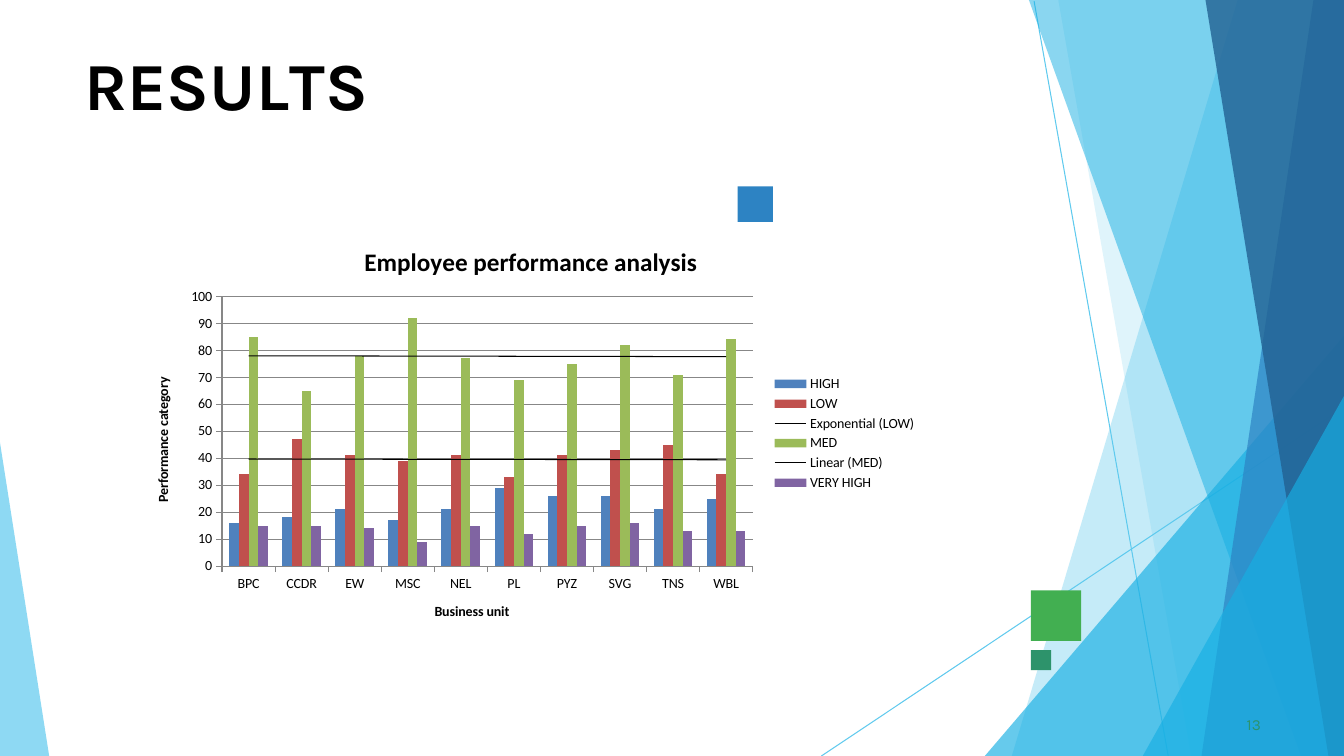
from lxml import etree
from pptx import Presentation
from pptx.chart.data import CategoryChartData
from pptx.dml.color import RGBColor
from pptx.enum.chart import XL_CHART_TYPE, XL_LEGEND_POSITION, XL_TICK_MARK
from pptx.enum.shapes import MSO_CONNECTOR, MSO_SHAPE
from pptx.enum.text import MSO_ANCHOR, PP_ALIGN
from pptx.oxml import parse_xml
from pptx.oxml.ns import nsdecls, qn
from pptx.util import Cm, Pt

COLUMNS = XL_CHART_TYPE.COLUMN_CLUSTERED
LEGEND_RIGHT = XL_LEGEND_POSITION.RIGHT
TICK_OUTSIDE = XL_TICK_MARK.OUTSIDE
STRAIGHT = MSO_CONNECTOR.STRAIGHT
RECTANGLE = MSO_SHAPE.RECTANGLE
TOP = MSO_ANCHOR.TOP
LEFT = PP_ALIGN.LEFT

# Content
COLORS = {
    "black": "000000", "grid": "878787", "sky": "5FCAEE", "cyan": "17AFE3",
    "blue": "2D83C3", "navy": "226192", "green": "42AF51", "teal": "2D936B",
    "high": "4F81BD", "low": "C0504D", "med": "9BBB59", "very high": "8064A2",
}
WIDTH, HEIGHT = 33.87, 19.05

# Title runs: text, letter spacing in points
TITLE_RUNS = [("R", 0), ("E", -0.4), ("S", 0.1), ("U", -0.3), ("L", -4), ("TS", 0)]
PAGE_NUMBER = "13"

CHART_TITLE = "Employee performance analysis"
CATEGORY_TITLE, VALUE_TITLE = "Business unit", "Performance category"
UNITS = ["BPC", "CCDR", "EW", "MSC", "NEL", "PL", "PYZ", "SVG", "TNS", "WBL"]
SERIES = {
    "HIGH": (16, 18, 21, 17, 21, 29, 26, 26, 21, 25),
    "LOW": (34, 47, 41, 39, 41, 33, 41, 43, 45, 34),
    "MED": (85, 65, 78, 92, 77, 69, 75, 82, 71, 84),
    "VERY HIGH": (15, 15, 14, 9, 15, 12, 15, 16, 13, 13),
}
TREND_TYPES = {"LOW": "exp", "MED": "linear"}
PLOT_AREA = {"x": 0.11, "y": 0.17, "w": 0.67, "h": 0.65}

# Decoration, in centimetres
THIN_LINES = [(26.06, 0.03, 29.44, HEIGHT), (WIDTH, 10.26, 20.7, HEIGHT)]
# Bands against the right edge: top left x, top y, bottom left x, color, opacity
RIGHT_BANDS = [
    (31.19, 0, 25.5, "sky", 36),
    (26.67, 0, 30.02, "sky", 20),
    (WIDTH, 8.46, 24.82, "cyan", 66),
    (25.93, 0, 32.79, "cyan", 50),
    (33.1, 0, 30.28, "blue", 70),
    (30.38, 0, 33.48, "navy", 80),
    (WIDTH, 9.98, 28.8, "cyan", 66),
]
LEFT_WEDGE = [(0, 11.15), (0, HEIGHT), (1.24, HEIGHT)]
SQUARES = [(25.98, 14.88, 1.27, "green"), (18.59, 4.7, 0.89, "blue"),
           (25.98, 16.38, 0.51, "teal")]


def rgb(name):
    return RGBColor.from_string(COLORS[name])


def paint(shape, color, opacity=100):
    shape.shadow.inherit = False
    shape.fill.solid()
    shape.fill.fore_color.rgb = rgb(color)
    shape.line.fill.background()
    if opacity < 100:
        color_element = shape._element.spPr.find(qn("a:solidFill"))[0]
        etree.SubElement(color_element, qn("a:alpha")).set("val", str(opacity * 1000))


def add_polygon(slide, points, color, opacity):
    corners = [(Cm(x), Cm(y)) for x, y in points]
    builder = slide.shapes.build_freeform(*corners[0])
    builder.add_line_segments(corners[1:], close=True)
    paint(builder.convert_to_shape(), color, opacity)


def set_font(font, name, size, color, bold=False):
    font.name, font.size, font.bold = name, Pt(size), bold
    font.color.rgb = rgb(color)


def add_run(paragraph, text, size, color, bold=False, spacing=0):
    run = paragraph.add_run()
    run.text = text
    set_font(run.font, "Karla", size, color, bold)
    run._r.get_or_add_rPr().set("spc", str(round(spacing * 100)))


def prepare_frame(shape):
    frame = shape.text_frame
    frame.word_wrap = True
    frame.vertical_anchor = TOP
    frame.margin_left = frame.margin_right = frame.margin_bottom = 0
    frame.margin_top = Cm(0.03)
    paragraph = frame.paragraphs[0]
    paragraph.alignment = LEFT
    return paragraph


def place(shape, left, top, width, height):
    shape.left, shape.top = Cm(left), Cm(top)
    shape.width, shape.height = Cm(width), Cm(height)


def write_chart_text(title, text, size):
    run = title.text_frame.paragraphs[0].add_run()
    run.text = text
    set_font(run.font, "Calibri", size, "black", True)


def add_trend(series, kind):
    trend = parse_xml(
        f'<c:trendline {nsdecls("c", "a")}><c:spPr><a:ln w="9525"><a:solidFill>'
        f'<a:srgbClr val="{COLORS["black"]}"/></a:solidFill></a:ln></c:spPr>'
        f'<c:trendlineType val="{kind}"/><c:dispRSqr val="0"/><c:dispEq val="0"/>'
        "</c:trendline>")
    series._element.find(qn("c:cat")).addprevious(trend)


def fix_plot_area(chart):
    plot_area = chart._chartSpace.chart.plotArea
    for old_layout in plot_area.findall(qn("c:layout")):
        plot_area.remove(old_layout)
    sizes = "".join(f'<c:{key} val="{value}"/>' for key, value in PLOT_AREA.items())
    plot_area.insert(0, parse_xml(
        f'<c:layout {nsdecls("c")}><c:manualLayout><c:layoutTarget val="inner"/>'
        f'<c:xMode val="edge"/><c:yMode val="edge"/>{sizes}</c:manualLayout></c:layout>'))


def add_results_chart(slide):
    data = CategoryChartData()
    data.categories = UNITS
    for name, values in SERIES.items():
        data.add_series(name, values)
    chart = slide.shapes.add_chart(
        COLUMNS, Cm(3.4), Cm(5.69), Cm(19.96), Cm(10.46), data).chart
    set_font(chart.font, "Calibri", 10, "black")
    chart.has_title = True
    write_chart_text(chart.chart_title, CHART_TITLE, 18)
    chart.has_legend = True
    chart.legend.position = LEGEND_RIGHT
    chart.legend.include_in_layout = False

    # Axes
    category_axis, value_axis = chart.category_axis, chart.value_axis
    for axis, title in ((category_axis, CATEGORY_TITLE), (value_axis, VALUE_TITLE)):
        axis.has_title = True
        write_chart_text(axis.axis_title, title, 10)
        axis.major_tick_mark = TICK_OUTSIDE
        axis.format.line.color.rgb = rgb("grid")
        axis.format.line.width = Pt(0.75)
    value_axis.axis_title._element.find(".//" + qn("a:bodyPr")).set("rot", "-5400000")
    value_axis.minimum_scale, value_axis.maximum_scale = 0, 100
    value_axis.major_unit = 10
    value_axis.has_major_gridlines = True
    value_axis.major_gridlines.format.line.color.rgb = rgb("grid")
    value_axis.major_gridlines.format.line.width = Pt(0.75)

    # Columns and trend lines
    plot = chart.plots[0]
    plot.gap_width = 150
    plot.vary_by_categories = False
    for series in plot.series:
        series.format.fill.solid()
        series.format.fill.fore_color.rgb = rgb(series.name.lower())
        if series.name in TREND_TYPES:
            add_trend(series, TREND_TYPES[series.name])
    fix_plot_area(chart)


def main():
    presentation = Presentation()
    presentation.slide_width, presentation.slide_height = Cm(WIDTH), Cm(HEIGHT)
    slide = presentation.slides.add_slide(presentation.slide_layouts[5])

    # Background decoration
    for x1, y1, x2, y2 in THIN_LINES:
        line = slide.shapes.add_connector(STRAIGHT, Cm(x1), Cm(y1), Cm(x2), Cm(y2))
        line.line.color.rgb = rgb("sky")
        line.line.width = Pt(0.75)
        etree.SubElement(line._element.spPr, qn("a:effectLst"))
    for top_x, top_y, bottom_x, color, opacity in RIGHT_BANDS:
        points = [(WIDTH, top_y), (top_x, top_y), (bottom_x, HEIGHT), (WIDTH, HEIGHT)]
        add_polygon(slide, points, color, opacity)
    add_polygon(slide, LEFT_WEDGE, "sky", 70)
    for left, top, side, color in SQUARES:
        square = slide.shapes.add_shape(RECTANGLE, Cm(left), Cm(top), Cm(side), Cm(side))
        paint(square, color)

    # Title and page number
    title = slide.shapes.title
    place(title, 2.12, 1.06, 29.66, 2.12)
    paragraph = prepare_frame(title)
    for text, spacing in TITLE_RUNS:
        add_run(paragraph, text, 48, "black", True, spacing)
    number = slide.shapes.add_textbox(Cm(31.32), Cm(17.98), Cm(0.64), Cm(0.53))
    paragraph = prepare_frame(number)
    paragraph.space_before = Pt(0.6)
    paragraph._p.get_or_add_pPr().set("marL", str(Cm(0.1)))
    add_run(paragraph, PAGE_NUMBER, 11, "teal", spacing=0.1)

    add_results_chart(slide)
    presentation.save("out.pptx")


if __name__ == "__main__":
    main()
